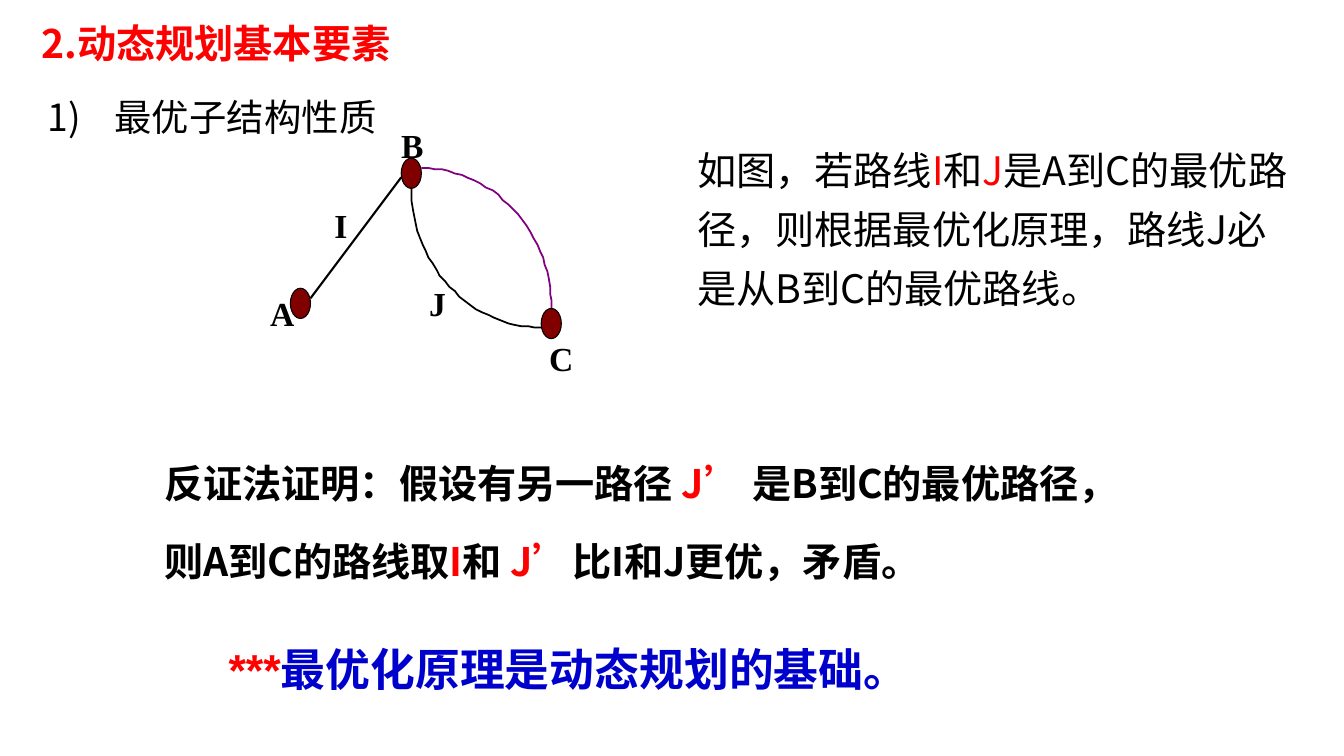
from math import cos, radians, sin

from lxml.etree import SubElement
from pptx import Presentation
from pptx.dml.color import RGBColor
from pptx.enum.lang import MSO_LANGUAGE_ID as Language
from pptx.enum.shapes import MSO_CONNECTOR as Connector, MSO_SHAPE as Shape
from pptx.enum.text import MSO_ANCHOR as Anchor, PP_ALIGN as Align
from pptx.oxml.ns import qn
from pptx.util import Pt

# Content: paragraphs are lists of (text, colour) runs
BLACK, RED, BLUE, PURPLE, MAROON = "000000", "FF0000", "0000CC", "800080", "800000"
SANS, SERIF, ARIAL = "Noto Sans CJK SC", "Times New Roman", "Arial"

TITLE = [[("2.动态规划基本要素", RED)]]
HEADING = [[("最优子结构性质", BLACK)]]
CLAIM = [[("如图，若路线", BLACK), ("I", RED), ("和", BLACK), ("J", RED),
          ("是A到C的最优路径，则根据最优化原理，路线J必是从B到C的最优路线。", BLACK)]]
PROOF = [
    [("反证法证明：假设有另一路径 ", BLACK), ("J’ ", RED), ("是B到C的最优路径，", BLACK)],
    [("则A到C的路线取", BLACK), ("I", RED), ("和 ", BLACK), ("J’", RED),
     ("比I和J更优，矛盾。", BLACK)],
]
CONCLUSION = [[("***", RED), ("最优化原理是动态规划的基础。", BLUE)]]

# Graph: left and top of each node, box of each label
NODE_WIDTH, NODE_HEIGHT = 14.4, 21.6
NODES = {"A": (207.4, 205.9), "B": (286.6, 113), "C": (386.6, 220.3)}
LABELS = {
    "A": (185.8, 205.9, 32.4, 36),
    "B": (279.4, 85.7, 31, 36),
    "C": (385.2, 237.6, 32.4, 36),
    "I": (231.8, 142.6, 23.8, 36),
    "J": (299.5, 198.7, 26.6, 36),
}


def colour(value):
    return RGBColor.from_string(value)


def place(shape, box):
    for name, value in zip(("left", "top", "width", "height"), box):
        setattr(shape, name, Pt(value))


def write(shape, box, paragraphs, font, line_spacing=1.0, space_before=0, wrap=True):
    place(shape, box)
    frame = shape.text_frame
    frame.word_wrap = wrap
    frame.vertical_anchor = Anchor.TOP
    for index, runs in enumerate(paragraphs):
        paragraph = frame.add_paragraph() if index else frame.paragraphs[0]
        layout = {"alignment": Align.LEFT, "line_spacing": line_spacing,
                  "space_before": Pt(space_before if index else 0)}
        for name, value in layout.items():
            setattr(paragraph, name, value)
        for text, run_colour in runs:
            run = paragraph.add_run()
            run.text = text
            for name, value in font.items():
                setattr(run.font, name, value)
            run.font.color.rgb = colour(run_colour)
            run.font.language_id = Language.SIMPLIFIED_CHINESE
            SubElement(run.font._element, qn("a:ea"), typeface=SANS)


def draw_quarter(shapes, centre, radii, start, line_colour):
    points = [(centre[0] + radii[0] * cos(radians(angle)),
               centre[1] + radii[1] * sin(radians(angle)))
              for angle in range(start, start + 91, 3)]
    builder = shapes.build_freeform(*points[0], scale=Pt(1))
    builder.add_line_segments(points[1:], close=False)
    arc = builder.convert_to_shape()
    arc.shadow.inherit = False
    arc.fill.background()
    arc.line.color.rgb = colour(line_colour)
    arc.line.width = Pt(1.25)


def draw_graph(shapes):
    # Nodes
    for left, top in NODES.values():
        node = shapes.add_shape(Shape.OVAL, Pt(left), Pt(top), Pt(NODE_WIDTH), Pt(NODE_HEIGHT))
        node.shadow.inherit = False
        node.fill.solid()
        node.fill.fore_color.rgb = colour(MAROON)
        node.line.color.rgb = colour(BLACK)
        node.line.width = Pt(0.75)

    # Straight route I
    (a_left, a_top), (b_left, b_top), (c_left, c_top) = NODES.values()
    route = shapes.add_connector(Connector.STRAIGHT, Pt(a_left + NODE_WIDTH), Pt(a_top + 7.2),
                                 Pt(b_left), Pt(b_top + 13.7))
    route.line.color.rgb = colour(BLACK)
    route.line.width = Pt(1.5)
    SubElement(route._element.spPr, qn("a:effectLst"))

    # Two curved routes from B to C
    b_right, b_side = b_left + NODE_WIDTH, b_top + 7.2
    c_middle, c_side = c_left + NODE_WIDTH / 2, c_top + 13.7
    radii = (c_middle - b_right, c_top - b_side)
    draw_quarter(shapes, (b_right, c_top), radii, -90, PURPLE)
    draw_quarter(shapes, (c_left, c_side - radii[1]), radii, 90, BLACK)

    # Labels
    for letter, box in LABELS.items():
        write(shapes.add_textbox(0, 0, 0, 0), box, [[(letter, BLACK)]],
              {"name": SERIF, "size": Pt(24), "bold": True}, wrap=False)


def main():
    presentation = Presentation()
    presentation.slide_width, presentation.slide_height = Pt(960), Pt(540)
    slide = presentation.slides.add_slide(presentation.slide_layouts[1])
    shapes = slide.shapes
    draw_graph(shapes)

    # Title and numbered heading
    title, body = slide.placeholders
    write(title, (22.3, 10.1, 375.8, 74.9), TITLE,
          {"name": SANS, "size": Pt(28), "bold": True})
    properties = body.text_frame.paragraphs[0]._p.get_or_add_pPr()
    properties.set("marL", str(Pt(48)))
    properties.set("indent", str(Pt(-48)))
    SubElement(properties, qn("a:buFont"), typeface=SANS)
    SubElement(properties, qn("a:buAutoNum"), type="arabicParenR")
    write(body, (26.6, 47.5, 863.3, 48.2), HEADING,
          {"name": SANS, "size": Pt(26.7)}, line_spacing=1.5)

    # Claim, proof and conclusion
    plain = {"name": SANS, "size": Pt(28)}
    write(shapes.add_textbox(0, 0, 0, 0), (491, 92.9, 442.1, 130.3), CLAIM,
          plain, line_spacing=1.25)
    write(shapes.add_textbox(0, 0, 0, 0), (110.2, 316.1, 807.1, 108.7), PROOF,
          {**plain, "bold": True}, line_spacing=1.25, space_before=14)
    write(shapes.add_textbox(0, 0, 0, 0), (156.2, 455, 563.8, 45.4), CONCLUSION,
          {"name": ARIAL, "size": Pt(32), "bold": True})

    presentation.save("out.pptx")


if __name__ == "__main__":
    main()
